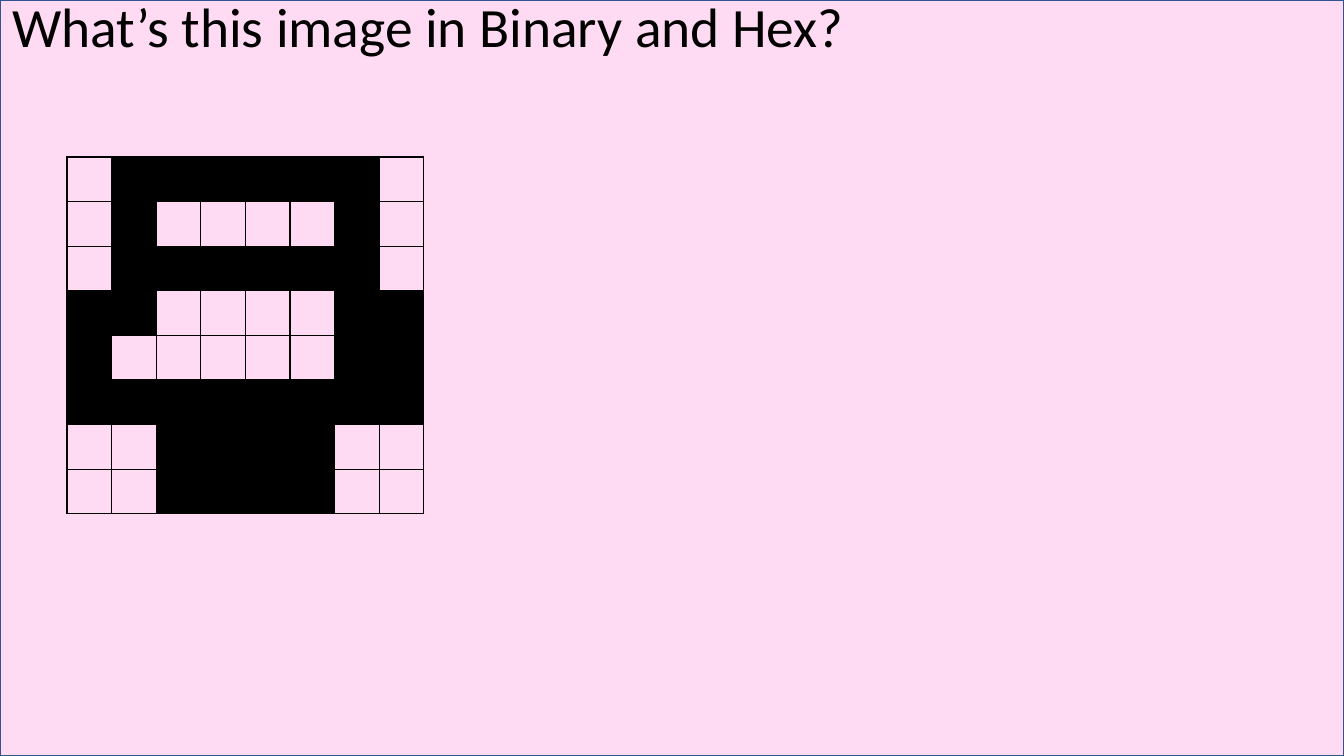
"""Build a slide asking for the binary and hex form of an 8 by 8 pixel image."""
from dataclasses import dataclass

from lxml import etree
from pptx import Presentation
from pptx.dml.color import RGBColor
from pptx.enum.shapes import MSO_SHAPE
from pptx.enum.text import MSO_ANCHOR, MSO_AUTO_SIZE, PP_ALIGN
from pptx.oxml.ns import qn
from pptx.slide import Slide
from pptx.table import Table
from pptx.util import Emu, Pt

RECTANGLE = MSO_SHAPE.RECTANGLE
MIDDLE = MSO_ANCHOR.MIDDLE
NO_AUTOFIT = MSO_AUTO_SIZE.NONE
LEFT = PP_ALIGN.LEFT
EMU_PER_PX = 914400 / 100.8
TITLE_ONLY = 5


@dataclass(frozen=True)
class Theme:
    ink: RGBColor = RGBColor.from_string("000000")
    wash: RGBColor = RGBColor.from_string("FF8AD8")
    wash_alpha: int = 30000
    frame: RGBColor = RGBColor.from_string("325491")
    font: str = "Calibri"
    title_size: Pt = Pt(39.6)
    line_width: Pt = Pt(1)


@dataclass(frozen=True)
class Box:
    left: int
    top: int
    width: int
    height: int

    def emu(self) -> tuple[Emu, Emu, Emu, Emu]:
        return px(self.left), px(self.top), px(self.width), px(self.height)


@dataclass(frozen=True)
class Pixel:
    row: int
    column: int
    dark: bool


THEME = Theme()
PAGE = Box(0, 0, 1344, 756)
HEADING = Box(2, 0, 1342, 60)
BITMAP = Box(67, 157, 357, 357)
BITMAP_ROWS = (
    "01111110",
    "01000010",
    "01111110",
    "11000011",
    "10000011",
    "11111111",
    "00111100",
    "00111100",
)


def px(length: float) -> Emu:
    return Emu(round(length * EMU_PER_PX))


def add_backdrop(slide: Slide) -> None:
    backdrop = slide.shapes.add_shape(RECTANGLE, *PAGE.emu())
    backdrop.shadow.inherit = False
    backdrop.fill.solid()
    backdrop.fill.fore_color.rgb = THEME.wash
    wash = backdrop.fill._xPr.find(qn("a:solidFill")).find(qn("a:srgbClr"))
    etree.SubElement(wash, qn("a:alpha"), val=str(THEME.wash_alpha))
    backdrop.line.color.rgb = THEME.frame
    backdrop.line.width = THEME.line_width
    slide.shapes._spTree.insert(2, backdrop._element)


def write_heading(slide: Slide, question: str) -> None:
    heading = slide.shapes.title
    heading.left, heading.top, heading.width, heading.height = HEADING.emu()
    frame = heading.text_frame
    frame.word_wrap = True
    frame.auto_size = NO_AUTOFIT
    frame.vertical_anchor = MIDDLE
    paragraph = frame.paragraphs[0]
    paragraph.alignment = LEFT
    paragraph.line_spacing = 0.9
    run = paragraph.add_run()
    run.text = question
    run.font.name = THEME.font
    run.font.size = THEME.title_size
    run.font.color.rgb = THEME.ink


def draw_pixel(bitmap: Table, pixel: Pixel) -> None:
    cell = bitmap.cell(pixel.row, pixel.column)
    if pixel.dark:
        cell.fill.solid()
        cell.fill.fore_color.rgb = THEME.ink
    else:
        cell.fill.background()
    properties = cell._tc.get_or_add_tcPr()
    for position, side in enumerate(("lnL", "lnR", "lnT", "lnB")):
        border = etree.Element(qn(f"a:{side}"), w=str(THEME.line_width))
        ink = etree.SubElement(border, qn("a:solidFill"))
        etree.SubElement(ink, qn("a:srgbClr"), val=str(THEME.ink))
        properties.insert(position, border)


def add_bitmap(slide: Slide, rows: tuple[str, ...]) -> None:
    count = len(rows)
    bitmap = slide.shapes.add_table(count, count, *BITMAP.emu()).table
    bitmap.first_row = False
    bitmap.horz_banding = False
    for column in bitmap.columns:
        column.width = px(BITMAP.width / count)
    for row in bitmap.rows:
        row.height = px(BITMAP.height / count)
    for row_index, bits in enumerate(rows):
        for column_index, bit in enumerate(bits):
            draw_pixel(bitmap, Pixel(row_index, column_index, bit == "1"))


def main() -> None:
    deck = Presentation()
    deck.slide_width, deck.slide_height = px(PAGE.width), px(PAGE.height)
    slide = deck.slides.add_slide(deck.slide_layouts[TITLE_ONLY])
    add_backdrop(slide)
    write_heading(slide, "What’s this image in Binary and Hex?")
    add_bitmap(slide, BITMAP_ROWS)
    deck.save("out.pptx")


if __name__ == "__main__":
    main()
